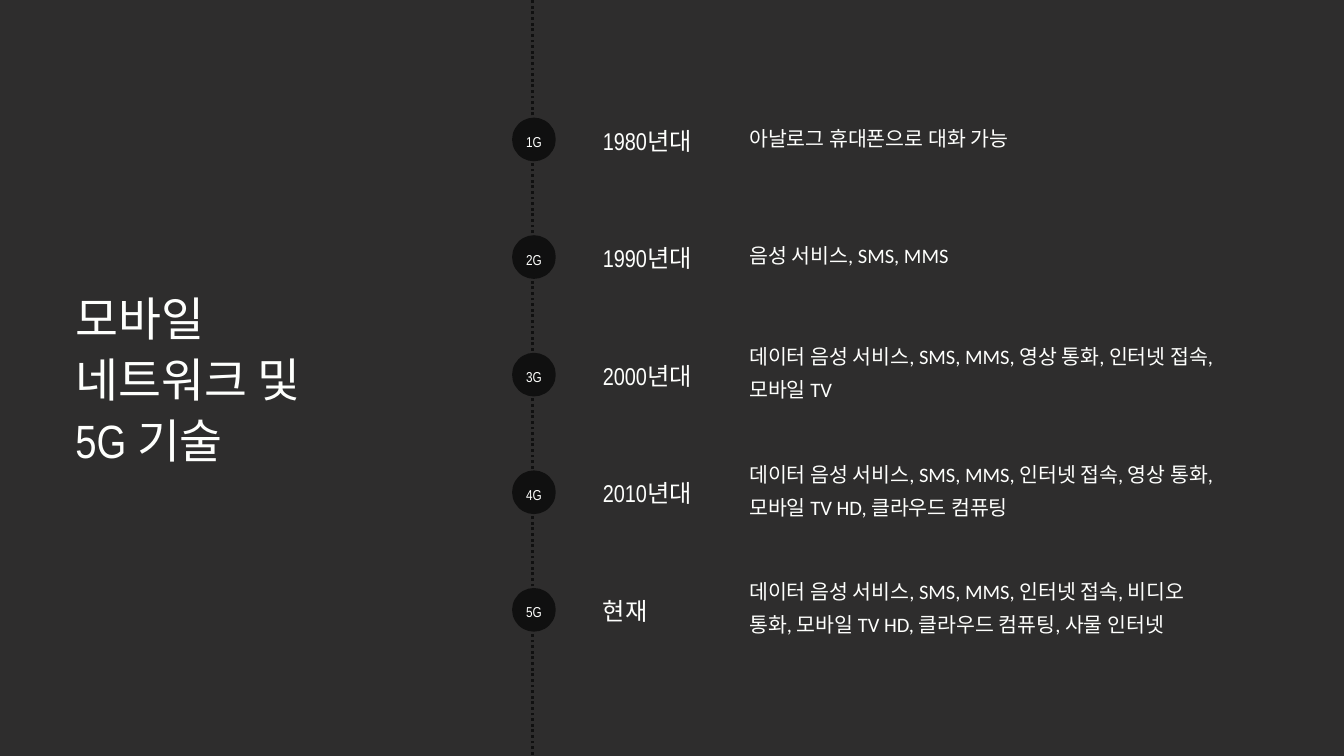
from lxml import etree
from pptx import Presentation
from pptx.dml.color import RGBColor
from pptx.enum.dml import MSO_LINE
from pptx.enum.shapes import MSO_CONNECTOR, MSO_SHAPE
from pptx.enum.text import MSO_AUTO_SIZE, PP_ALIGN
from pptx.oxml.ns import qn
from pptx.util import Inches, Pt

COLORS = {"background": "2E2D2D", "dark": "101010", "text": "FEFFFD"}
HEAD, BODY = "Arial Narrow", "Calibri"


def rgb(name):
    return RGBColor.from_string(COLORS[name])


def add_text(s, box, lines, font, size, spacing, align=PP_ALIGN.LEFT):
    tf = s.shapes.add_textbox(*[Inches(v) for v in box]).text_frame
    tf.word_wrap = True
    tf.auto_size = MSO_AUTO_SIZE.SHAPE_TO_FIT_TEXT
    tf.margin_left = tf.margin_right = tf.margin_top = tf.margin_bottom = 0
    for i, line in enumerate(lines):
        p = tf.paragraphs[0] if i == 0 else tf.add_paragraph()
        p.alignment = align
        p.line_spacing = Pt(spacing)
        r = p.add_run()
        r.text = line
        r.font.name = font
        r.font.size = Pt(size)
        r.font.color.rgb = rgb("text")


prs = Presentation()
prs.slide_width, prs.slide_height = Inches(20), Inches(11.25)
s = prs.slides.add_slide(prs.slide_layouts[6])
s.background.fill.solid()
s.background.fill.fore_color.rgb = rgb("background")

# Dotted timeline axis
axis = s.shapes.add_connector(MSO_CONNECTOR.STRAIGHT, Inches(7.93), Inches(11.23),
                              Inches(7.93), Inches(-0.02))
axis.line.color.rgb = rgb("dark")
axis.line.width = Pt(3)
axis.line.dash_style = MSO_LINE.ROUND_DOT
etree.SubElement(axis._element.spPr, qn("a:effectLst"))

# Generations: badge, period, services
generations = [
    ("1G", "1980년대", ["아날로그 휴대폰으로 대화 가능"]),
    ("2G", "1990년대", ["음성 서비스, SMS, MMS"]),
    ("3G", "2000년대", ["데이터 음성 서비스, SMS, MMS, 영상 통화, 인터넷 접속, 모바일 TV"]),
    ("4G", "2010년대", ["데이터 음성 서비스, SMS, MMS, 인터넷 접속, 영상 통화, "
                      "모바일 TV HD, 클라우드 컴퓨팅"]),
    ("5G", "현재", ["데이터 음성 서비스, SMS, MMS, 인터넷 접속, 비디오",
                  "통화, 모바일 TV HD, 클라우드 컴퓨팅, 사물 인터넷"]),
]
for i, (name, period, services) in enumerate(generations):
    top = 1.75 + 1.75 * i
    sp = s.shapes.add_shape(MSO_SHAPE.OVAL, Inches(7.62), Inches(top),
                            Inches(0.65), Inches(0.65))
    sp.shadow.inherit = False
    sp.fill.solid()
    sp.fill.fore_color.rgb = rgb("dark")
    sp.line.fill.background()
    add_text(s, (7.73, top + 0.19, 0.43, 0.28), [name], HEAD, 15.4, 21.5, PP_ALIGN.CENTER)
    add_text(s, (8.97, top + 0.05, 1.65, 0.49), [period], HEAD, 26, 36.4)
    # Two-line descriptions start higher
    body_top, height = (top, 0.52) if i < 2 else (top - 0.25, 1)
    add_text(s, (11.15, body_top, 7.72, height), services, BODY, 22, 35.2)

# Title
add_text(s, (1.12, 4.25, 5.38, 2.69), ["모바일", "네트워크 및", "5G 기술"], HEAD, 50, 65)

prs.save("out.pptx")
